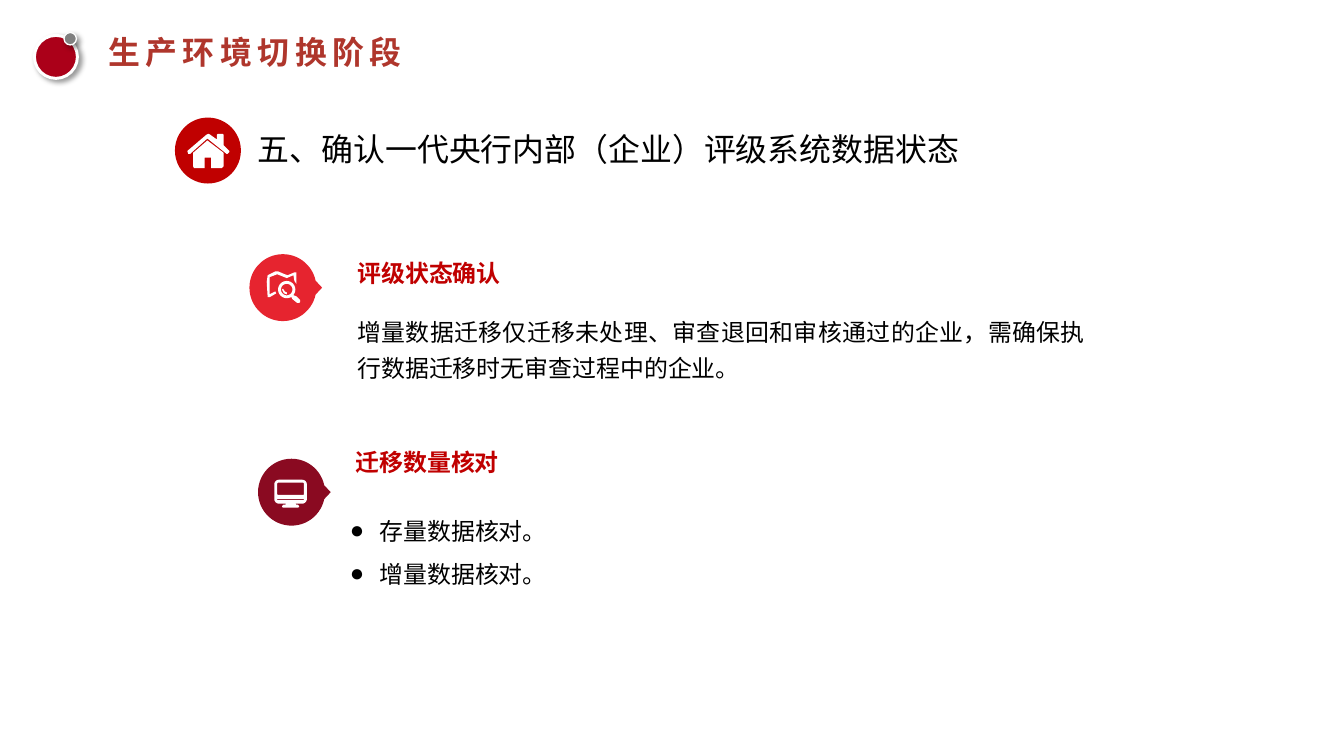
from math import cos, radians, sin

from lxml.etree import SubElement
from pptx import Presentation
from pptx.dml.color import RGBColor
from pptx.enum.shapes import MSO_SHAPE
from pptx.enum.text import MSO_ANCHOR, MSO_AUTO_SIZE, PP_ALIGN
from pptx.oxml.ns import qn
from pptx.util import Inches, Pt

WHITE, BLACK, RED = "FFFFFF", "000000", "C00000"
CJK = "Noto Sans CJK SC"
HEADING = {"size": Pt(18), "name": CJK, "bold": True}
BODY = {"size": Pt(18), "name": "Calibri", "bold": False}

ROOF = [(2.38, 1.61), (2.37, 1.61), (2.17, 1.45), (1.99, 1.61), (1.97, 1.61),
        (1.96, 1.58), (2.16, 1.41), (2.18, 1.4), (2.2, 1.41), (2.27, 1.46),
        (2.27, 1.41), (2.28, 1.4), (2.33, 1.4), (2.34, 1.41), (2.34, 1.52),
        (2.4, 1.58), (2.4, 1.59)]
WALLS = [(2.34, 1.74), (2.32, 1.76), (2.21, 1.76), (2.21, 1.65), (2.14, 1.65),
         (2.14, 1.76), (2.03, 1.76), (2.02, 1.74), (2.02, 1.6), (2.17, 1.47),
         (2.34, 1.6)]
MAP = [(2.88, 2.84), (2.91, 2.84), (2.98, 2.87), (3.01, 2.88), (3.08, 2.85),
       (3.1, 2.85), (3.1, 2.97), (3.08, 2.94), (3.07, 2.88), (3, 2.91),
       (2.9, 2.87), (2.82, 2.9), (2.82, 3.08), (2.88, 3.05), (2.89, 3.07),
       (2.82, 3.11), (2.8, 3.11), (2.79, 2.95), (2.8, 2.88)]
HANDLE = [(3.07, 3.09), (3.1, 3.1), (3.14, 3.14), (3.14, 3.16), (3.13, 3.17),
          (3.11, 3.17), (3.06, 3.13), (3.05, 3.11)]
GLINT = [(2.95, 3.03), (2.96, 3.02), (2.98, 3.05), (3, 3.06), (3, 3.08),
         (2.97, 3.07)]
STAND = [(3, 5.26), (3, 5.29), (2.97, 5.29), (2.96, 5.3), (2.97, 5.3),
         (3.11, 5.3), (3.12, 5.3), (3.11, 5.29), (3.09, 5.29), (3.08, 5.26)]


def color(value):
    return RGBColor.from_string(value)


def assign(target, values):
    for name, value in values.items():
        setattr(target, name, value)


def paint(shape, fill, line=None, weight=1):
    shape.shadow.inherit = False
    shape.fill.solid()
    shape.fill.fore_color.rgb = color(fill)
    if line:
        shape.line.color.rgb = color(line)
        shape.line.width = Pt(weight)
    else:
        shape.line.fill.background()


def add_circle(shapes, left, top, size, fill, line=None, weight=1):
    circle = shapes.add_shape(MSO_SHAPE.OVAL, Inches(left), Inches(top),
                              Inches(size), Inches(size))
    paint(circle, fill, line, weight)
    return circle


def cast_shadow(shape):
    effects = shape._element.spPr.find(qn("a:effectLst"))
    shadow = SubElement(effects, qn("a:outerShdw"), blurRad=str(Pt(4)),
                        dist=str(Pt(3)), dir=str(45 * 60000), algn="tl",
                        rotWithShape="0")
    shade = SubElement(shadow, qn("a:srgbClr"), val=BLACK)
    SubElement(shade, qn("a:alpha"), val="40000")


def add_outline(shapes, contours, fill, line=None, weight=1):
    """Draw closed contours, given in inches, as one freeform."""
    contours = [[(Inches(x), Inches(y)) for x, y in points] for points in contours]
    builder = shapes.build_freeform(*contours[0][0], scale=1.0)
    for index, points in enumerate(contours):
        if index:
            builder.move_to(*points[0])
        builder.add_line_segments(points[1:], close=True)
    outline = builder.convert_to_shape()
    paint(outline, fill, line, weight)


def arc(x, y, radius, start=0, end=360, step=6):
    return [(x + radius * cos(radians(angle)), y + radius * sin(radians(angle)))
            for angle in range(start, end + 1, step)]


def rounded(left, top, right, bottom, radius):
    corners = [(right - radius, bottom - radius, 0), (left + radius, bottom - radius, 90),
               (left + radius, top + radius, 180), (right - radius, top + radius, 270)]
    return [point for x, y, start in corners
            for point in arc(x, y, radius, start, start + 90, 15)]


def add_pin(shapes, x, y, fill):
    add_outline(shapes, [arc(x, y, 0.35, 12, 348) + [(x + 0.41, y)]], fill)


def write(box, bounds, lines, font, fill, paragraph=None, bullet=None, spacing=None):
    assign(box, dict(zip(("left", "top", "width", "height"), map(Inches, bounds))))
    frame = box.text_frame
    assign(frame, {"word_wrap": True, "auto_size": MSO_AUTO_SIZE.NONE,
                   "vertical_anchor": MSO_ANCHOR.TOP})
    for index, line in enumerate(lines):
        para = frame.add_paragraph() if index else frame.paragraphs[0]
        assign(para, {"alignment": PP_ALIGN.LEFT, "space_before": Pt(0),
                      **(paragraph or {})})
        if bullet:
            properties = para._p.get_or_add_pPr()
            properties.set("marL", str(Inches(0.31)))
            properties.set("indent", str(Inches(-0.31)))
            SubElement(properties, qn("a:buChar"), char=bullet)
        span = para.add_run()
        span.text = line
        assign(span.font, font)
        span.font.color.rgb = color(fill)
        if spacing:
            span._r.get_or_add_rPr().set("spc", str(spacing))
    return frame


def add_text(page, bounds, *args, **options):
    box = page.shapes.add_textbox(*map(Inches, bounds))
    write(box, bounds, args[0], *args[1:], **options)


def add_title(page):
    cast_shadow(add_circle(page.shapes, 0.36, 0.37, 0.45, "AB0019", WHITE, 2.25))
    cast_shadow(add_circle(page.shapes, 0.67, 0.34, 0.13, "808080", WHITE))
    frame = write(page.shapes.title, (1.13, 0.34, 7.64, 0.4), ["生产环境切换阶段"],
                  {**HEADING, "size": Pt(24)}, "AF362C", spacing=420)
    for side in ("left", "top", "right", "bottom"):
        setattr(frame, f"margin_{side}", 0)


def add_home_icon(page):
    shapes = page.shapes.add_group_shape().shapes
    add_circle(shapes, 1.83, 1.23, 0.69, RED)
    add_outline(shapes, [ROOF, WALLS], WHITE)


def add_search_icon(page):
    shapes = page.shapes.add_group_shape().shapes
    add_pin(shapes, 2.96, 3.01, "E6242F")
    add_outline(shapes, [MAP], WHITE)
    lens = arc(3, 3.03, 0.09, 72, 396)
    add_outline(shapes, [lens + HANDLE, arc(3, 3.03, 0.06)], WHITE)
    add_outline(shapes, [GLINT], WHITE)


def add_monitor_icon(page):
    shapes = page.shapes.add_group_shape().shapes
    add_pin(shapes, 3.05, 5.15, "8A0A21")
    contours = [rounded(2.88, 5.03, 3.2, 5.26, 0.04),
                rounded(2.89, 5.04, 3.19, 5.19, 0.02),
                rounded(2.89, 5.21, 3.19, 5.24, 0.01), STAND]
    add_outline(shapes, contours, WHITE, WHITE, 1.5)


def main():
    deck = Presentation()
    deck.slide_width, deck.slide_height = Inches(14.06), Inches(7.91)
    page = deck.slides.add_slide(deck.slide_layouts[1])
    add_title(page)
    add_home_icon(page)
    add_text(page, (2.6, 1.23, 7.95, 0.75), ["五、确认一代央行内部（企业）评级系统数据状态"],
             {**BODY, "size": Pt(24)}, BLACK,
             paragraph={"alignment": PP_ALIGN.JUSTIFY, "line_spacing": 1.2})
    add_search_icon(page)
    add_text(page, (3.64, 2.51, 5.23, 0.55), ["评级状态确认"], HEADING, RED,
             paragraph={"line_spacing": 1.5})
    add_text(page, (3.64, 3.2, 7.81, 0.86),
             ["增量数据迁移仅迁移未处理、审查退回和审核通过的企业，需确保执行数据迁移时无审查过程中的企业。"],
             BODY, BLACK,
             paragraph={"alignment": PP_ALIGN.JUSTIFY, "line_spacing": 1.25})
    add_monitor_icon(page)
    add_text(page, (3.62, 4.48, 2.19, 0.55), ["迁移数量核对"], HEADING, RED,
             paragraph={"line_spacing": 1.5})
    write(page.placeholders[1], (3.56, 5.2, 5.84, 1.43),
          ["存量数据核对。", "增量数据核对。"], BODY, BLACK,
          paragraph={"line_spacing": 1.5}, bullet="●")
    deck.save("out.pptx")


if __name__ == "__main__":
    main()
